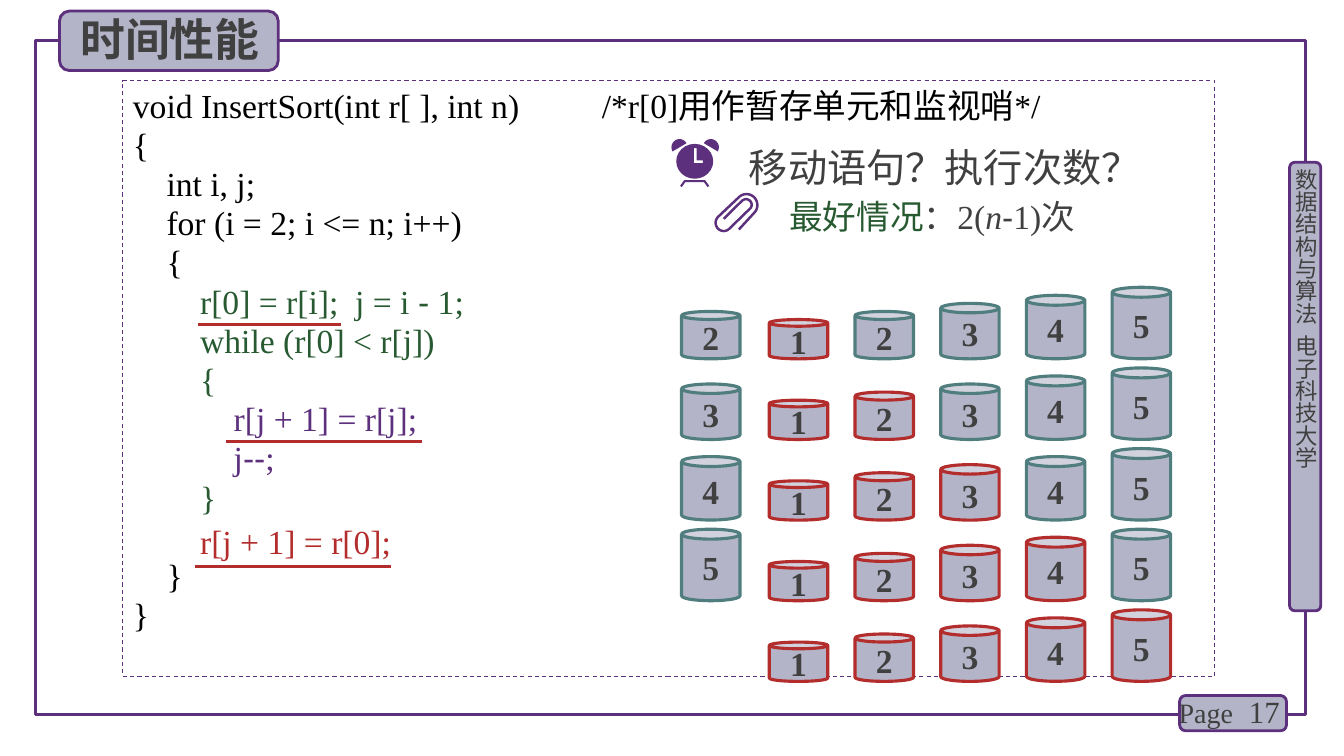
from math import cos, radians, sin

from lxml import etree
from pptx import Presentation
from pptx import util as u
from pptx.dml.color import RGBColor
from pptx.enum import dml, shapes, text
from pptx.oxml.ns import qn

WIDE, HIGH = 13.33, 7.5
PLUM = RGBColor(0x5C, 0x30, 0x7D)
MIST = RGBColor(0xB4, 0xB4, 0xC8)
GREY = RGBColor(0x40, 0x40, 0x40)
BLACK = RGBColor(0, 0, 0)
GREEN = RGBColor(0x28, 0x5A, 0x32)
RED = RGBColor(0xB4, 0x2D, 0x2D)
TEAL = RGBColor(0x50, 0x7D, 0x7D)
SERIF, SANS, HAN = "Times New Roman", "Arial", "Noto Sans CJK SC"
ROW = 28 / 72
FORM = shapes.MSO_SHAPE


def part(box, x, y, w, h):
    """Return the box that takes the given shares of another box."""
    left, top, wide, high = box
    return left + x * wide, top + y * high, w * wide, h * high


def write(frame, paras, size=24, color=GREY, font=SERIF, bold=False, align=None,
          mid=False, wrap=True, lead=None, inset=None, vert=None):
    """Fill a text frame with paragraphs of (indent, space before, runs)."""
    frame.word_wrap = wrap
    frame.vertical_anchor = text.MSO_ANCHOR.MIDDLE if mid else text.MSO_ANCHOR.TOP
    if inset is not None:
        frame.margin_left = frame.margin_right = u.Inches(inset)
        frame.margin_top = frame.margin_bottom = u.Inches(inset)
    if vert:
        frame._txBody.bodyPr.set("vert", vert)
    for num, (dent, gap, runs) in enumerate(paras):
        para = frame.add_paragraph() if num else frame.paragraphs[0]
        para.alignment = align or text.PP_ALIGN.LEFT
        para.space_before = u.Pt(gap)
        para.line_spacing = lead
        para._p.get_or_add_pPr().set("marL", str(u.Pt(24 * dent)))
        for words, style in runs:
            run = para.add_run()
            run.text = words
            face = run.font
            face.size, face.bold = u.Pt(size), bold
            face.name = style.get("font", font)
            face.italic = style.get("slant", False)
            face.color.rgb = style.get("color", color)
            east = etree.SubElement(run._r.get_or_add_rPr(), qn("a:ea"))
            east.set("typeface", HAN)


def line(words, dent=0, gap=0):
    """Return a paragraph of one plain run."""
    return dent, gap, [(words, {})]


def label(slide, box, paras, **form):
    """Add a text box."""
    area = slide.shapes.add_textbox(*map(u.Inches, box))
    write(area.text_frame, paras, **form)


def block(slide, kind, box, fill=MIST, edge=PLUM, width=2):
    """Add a preset shape with its fill and line."""
    item = slide.shapes.add_shape(kind, *map(u.Inches, box))
    item.shadow.inherit = False
    if fill is None:
        item.fill.background()
    else:
        item.fill.solid()
        item.fill.fore_color.rgb = fill
    item.line.color.rgb = edge
    item.line.width = u.Pt(width)
    return item


def arc(x, y, wide, high, start, stop):
    """Return points on an arc, angles in degrees."""
    turns = [radians(start + (stop - start) * step / 24) for step in range(25)]
    return [(x + wide * cos(turn), y + high * sin(turn)) for turn in turns]


def trace(slide, box, rings, stroke=None):
    """Draw outlines given in shares of the box, filled or as one stroke."""
    rings = [[tuple(map(u.Inches, part(box, x, y, 0, 0)[:2])) for x, y in ring]
             for ring in rings]
    pen = slide.shapes.build_freeform(*rings[0][0])
    for ring in rings:
        pen.move_to(*ring[0])
        pen.add_line_segments(ring[1:], close=not stroke)
    item = pen.convert_to_shape()
    item.shadow.inherit = False
    if stroke:
        item.fill.background()
        item.line.color.rgb = PLUM
        item.line.width = u.Pt(stroke)
    else:
        item.fill.solid()
        item.fill.fore_color.rgb = PLUM
        item.line.fill.background()


def border(slide, box):
    """Draw the page frame with its side tab and page tab."""
    block(slide, FORM.RECTANGLE, box, fill=None, width=2.25)
    left, top, wide, high = box
    right, base = left + wide, top + high
    block(slide, FORM.ROUNDED_RECTANGLE, (right - 0.16, top + 1.21, 0.31, 4.45))
    label(slide, (right - 0.13, top + 1.27, 0.27, 4.49),
          [line("数据结构与算法  电子科技大学")],
          size=16, font=HAN, inset=0, vert="eaVert")
    block(slide, FORM.ROUNDED_RECTANGLE, (right - 1.25, base - 0.19, 1.06, 0.35))
    label(slide, (right - 1.08, base - 0.23, 0.92, 0.4), [line("17")],
          size=22, align=text.PP_ALIGN.RIGHT, mid=True)
    label(slide, (right - 1.36, base - 0.24, 1.28, 0.44), [line("Page")], size=20)


def title(slide, box):
    """Draw the title tab."""
    block(slide, FORM.ROUNDED_RECTANGLE, box)
    label(slide, part(box, 0.05, -0.07, 0.97, 1.08), [line("时间性能")],
          size=32, font=HAN, bold=True)


def code(slide, box):
    """Draw the program in rows of equal height, with key lines underlined."""
    left, top, wide, _ = box
    frame = block(slide, FORM.RECTANGLE, box, fill=None, width=0.75)
    frame.line.dash_style = dml.MSO_LINE.DASH
    dash = {"font": SANS}
    head = [line("void InsertSort(int r[ ], int n)"), line("{"), line("int i, j;", 1),
            line("for (i = 2; i <= n; i++)", 1), line("{", 1),
            line("}", 1, 7 * 28), line("}")]
    write(frame.text_frame, head, color=BLACK, lead=u.Pt(28))
    loop = [(2, 0, [("r[0] = r[i];  j = i ", {}), ("-", dash), (" 1;", {})]),
            line("while (r[0] < r[j])", 2), line("{", 2), line("}", 2, 2 * 28)]
    shift = [line("r[j + 1] = r[j];", 3), (3, 0, [("j", {}), ("--", dash), (";", {})])]
    for col, row, paras, color in [
            (4.65, 0, [line("/*r[0]用作暂存单元和监视哨*/")], BLACK),
            (0, 5, loop, GREEN), (0, 8, shift, PLUM),
            (0, 11.13, [line("r[j + 1] = r[0];", 2)], RED)]:
        label(slide, (left + col, top + row * ROW, wide - col, len(paras) * ROW + 0.1),
              paras, color=color, lead=u.Pt(28))
    for col, row, long in [(0.74, 6.22, 1.42), (0.71, 12.39, 1.95), (1.02, 9.2, 1.95)]:
        x, y = left + col, top + row * ROW
        rule = slide.shapes.add_connector(
            shapes.MSO_CONNECTOR.STRAIGHT, *map(u.Inches, (x, y, x + long, y)))
        rule.line.color.rgb = RED
        rule.line.width = u.Pt(2.25)
        etree.SubElement(rule._element.spPr, qn("a:effectLst"))


def clock(slide, box):
    """Draw an alarm clock."""
    ear = arc(0.17, 0.17, 0.17, 0.17, 150, 330)
    hands = [(0.47, 0.19), (0.53, 0.19), (0.53, 0.44), (0.66, 0.44),
             (0.66, 0.5), (0.47, 0.5)]
    trace(slide, box, [arc(0.49, 0.46, 0.39, 0.36, 0, 360), hands])
    trace(slide, box, [ear])
    trace(slide, box, [[(1 - x, y) for x, y in ear]])
    trace(slide, box, [[(0.2, 0.98), (0.28, 0.87), (0.7, 0.87), (0.78, 0.98)]], 1.5)


def clip(slide, box):
    """Draw a paper clip as one bent wire."""
    wire = ([(0.55, 0.94)] + arc(0.71, 0.32, 0.23, 0.28, 45, -135)
            + arc(0.23, 0.77, 0.17, 0.21, 225, 45)
            + arc(0.7, 0.31, 0.12, 0.14, 45, -135) + [(0.23, 0.67)])
    trace(slide, box, [wire], 1.75)


def query(slide, box):
    """Draw the question and the best case, each with its icon."""
    left, top, _, _ = box
    clock(slide, (left, top + 0.15, 0.47, 0.48))
    label(slide, (left + 0.67, top, 4.25, 0.71), [line("移动语句？执行次数？")],
          size=28, font=HAN, lead=1.3)
    clip(slide, (left + 0.41, top + 0.68, 0.47, 0.39))
    best = [("最好情况", {"color": GREEN}), ("：2(", {}), ("n", {"slant": True}),
            ("-", {"font": SANS}), ("1)次", {})]
    label(slide, (left + 1.07, top + 0.62, 3.85, 0.55), [(0, 5, best)], lead=1.1)


def can(slide, x, base, value, edge):
    """Draw a can whose height grows with its value."""
    high = 0.31 + 0.08 * value
    item = block(slide, FORM.CAN, (x, base - high, 0.58, high), edge=edge, width=2.25)
    item.adjustments[0] = 0.17
    write(item.text_frame, [line(str(value))], bold=True,
          align=text.PP_ALIGN.CENTER, mid=True, wrap=False)


def passes(slide, box):
    """Draw five passes: the held value, then the list with its sorted part red."""
    left, top, _, high = box
    for row in range(5):
        base = top + 0.71 + row * (high - 0.71) / 4
        for value in range(1, 6):
            can(slide, left + 0.02 + 0.85 * value, base, value,
                RED if value <= row + 1 else TEAL)
        if row < 4:
            can(slide, left, base, row + 2, TEAL)


def main():
    """Build the slide and save it."""
    deck = Presentation()
    deck.slide_width, deck.slide_height = u.Inches(WIDE), u.Inches(HIGH)
    slide = deck.slides.add_slide(deck.slide_layouts[6])
    border(slide, (0.35, 0.4, 12.6, 6.69))
    title(slide, (0.59, 0.11, 2.17, 0.59))
    code(slide, (1.22, 0.8, 10.83, 5.91))
    query(slide, (6.66, 1.23, 4.92, 1.17))
    passes(slide, (6.76, 2.85, 4.85, 3.91))
    deck.save("out.pptx")


if __name__ == "__main__":
    main()
